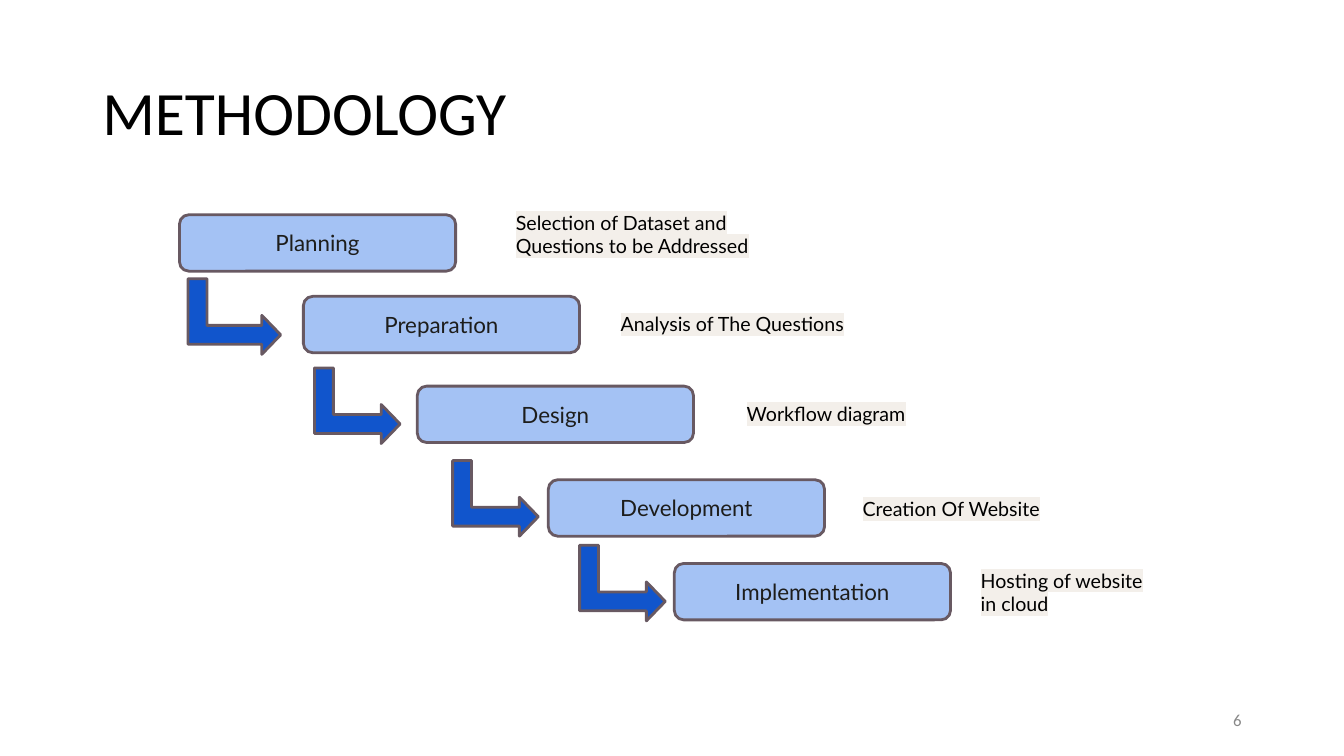
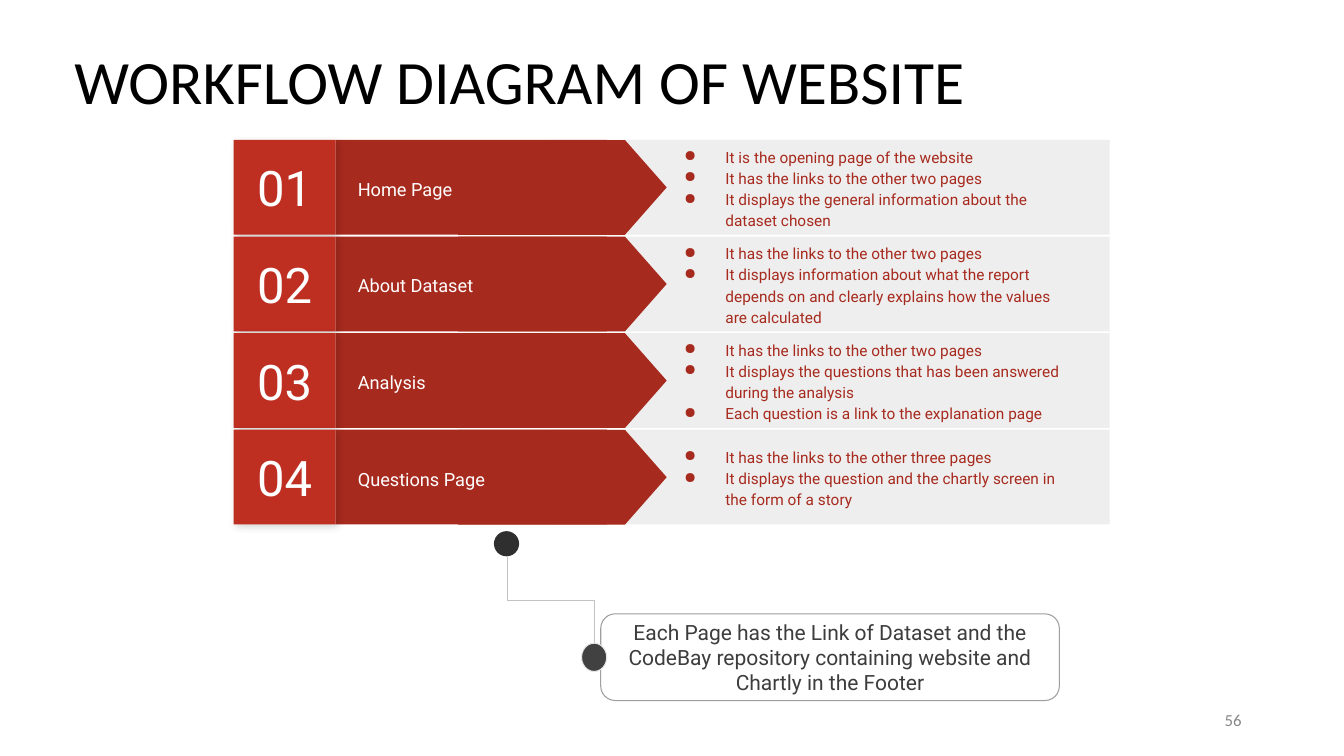
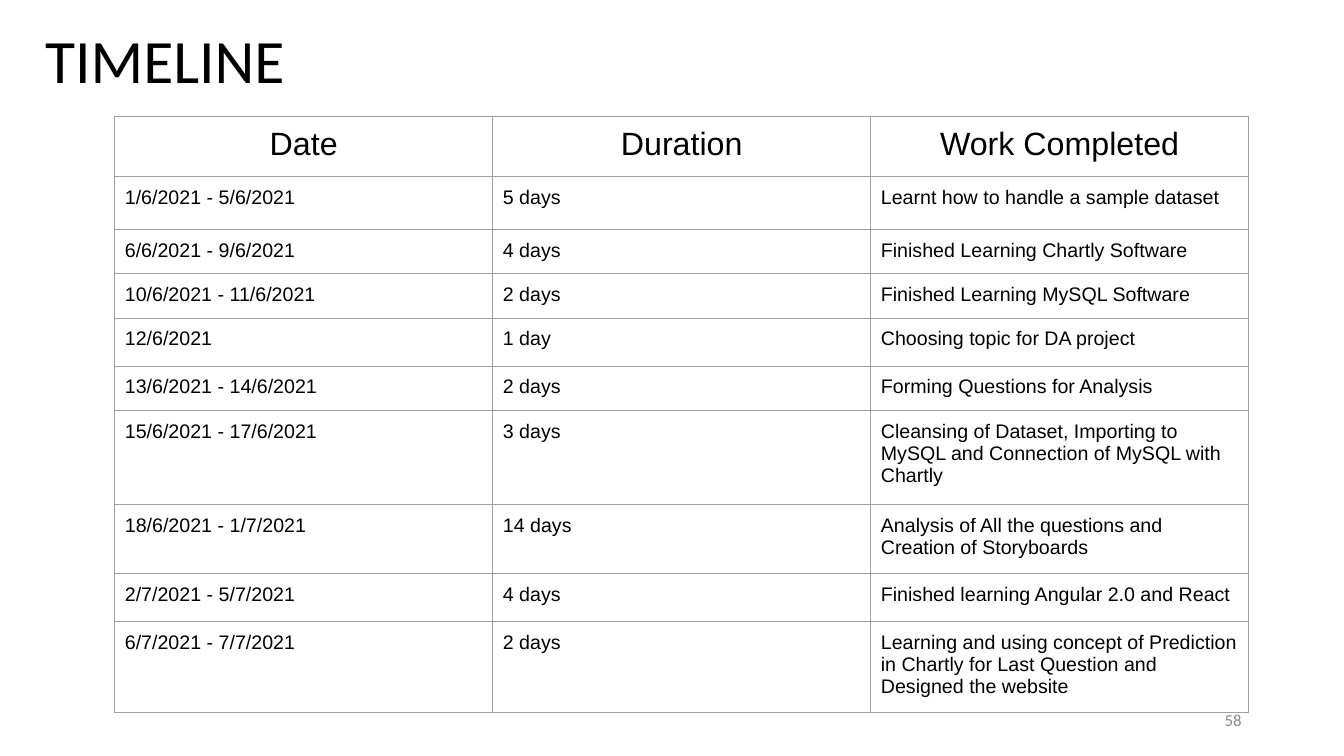
from lxml import etree
from pptx import Presentation
from pptx.dml.color import RGBColor
from pptx.enum.shapes import MSO_CONNECTOR, MSO_SHAPE
from pptx.enum.text import MSO_ANCHOR, PP_ALIGN
from pptx.oxml.ns import qn
from pptx.util import Pt

RECT = MSO_SHAPE.RECTANGLE
ROUND = MSO_SHAPE.ROUNDED_RECTANGLE
OVAL = MSO_SHAPE.OVAL
BENT = MSO_SHAPE.BENT_UP_ARROW
POINT = MSO_SHAPE.FLOWCHART_OFFPAGE_CONNECTOR
ELBOW = MSO_CONNECTOR.ELBOW
TOP, MIDDLE = MSO_ANCHOR.TOP, MSO_ANCHOR.MIDDLE
LEFT, CENTER, RIGHT = PP_ALIGN.LEFT, PP_ALIGN.CENTER, PP_ALIGN.RIGHT

BLACK, WHITE, GRAY, PALE = "000000", "FFFFFF", "9E9E9E", "EEEEEE"
RED, BRIGHT = "A72A1E", "BE2F22"
SKY, BLUE, EDGE, CREAM = "A4C2F4", "1155CC", "685962", "F3EFEA"


def color(code):
    return RGBColor.from_string(code)


def add(node, tag, **attrs):
    return etree.SubElement(node, qn(tag), attrs)


class Deck:
    def __init__(self):
        self.file = Presentation()
        self.file.slide_width, self.file.slide_height = Pt(960), Pt(540)

    def page(self, title, box, number):
        self.slide = self.file.slides.add_slide(self.file.slide_layouts[6])
        self.text(box, [title], 44, "Calibri", BLACK, anchor=MIDDLE, space=0.9)
        self.text((678, 500, 216, 28.8), [number], 12, "Calibri", "888888",
                  anchor=MIDDLE, align=RIGHT)

    def label(self, frame, lines, size, font, ink, align=LEFT, anchor=TOP,
              pad=(7.2, 3.6), space=None, mark=None, bullet=False):
        frame.word_wrap = True
        frame.vertical_anchor = anchor
        frame.margin_left = frame.margin_right = Pt(pad[0])
        frame.margin_top = frame.margin_bottom = Pt(pad[1])
        for i, line in enumerate(lines):
            para = frame.add_paragraph() if i else frame.paragraphs[0]
            if bullet:
                props = para._p.get_or_add_pPr()
                props.set("marL", str(Pt(48)))
                props.set("indent", str(-Pt(29.5)))
                add(add(props, "a:buClr"), "a:srgbClr", val=ink)
                add(props, "a:buChar", char="●")
            para.alignment = align
            if space:
                para.line_spacing = space
            run = para.add_run()
            run.text = line
            run.font.size, run.font.name = Pt(size), font
            run.font.color.rgb = color(ink)
            if mark:
                props = run._r.get_or_add_rPr()
                light = add(props, "a:highlight")
                add(light, "a:srgbClr", val=mark)
                props.find(qn("a:solidFill")).addnext(light)

    def text(self, box, lines, size, font, ink, **style):
        item = self.slide.shapes.add_textbox(*map(Pt, box))
        self.label(item.text_frame, lines, size, font, ink, **style)

    def shape(self, kind, box, fill=None, line=None, width=0.75, turn=0, adjust=()):
        item = self.slide.shapes.add_shape(kind, *map(Pt, box))
        item.shadow.inherit = False
        item.rotation = turn
        for i, value in enumerate(adjust):
            item.adjustments[i] = value
        if fill:
            item.fill.solid()
            item.fill.fore_color.rgb = color(fill)
        else:
            item.fill.background()
        if line:
            item.line.color.rgb = color(line)
            item.line.width = Pt(width)
        else:
            item.line.fill.background()
        return item

    def shade(self, item):
        effects = item._element.spPr.find(qn("a:effectLst"))
        cast = add(effects, "a:outerShdw", blurRad=str(Pt(5.6)), dist=str(Pt(2.2)),
                   dir="2700000", algn="bl", rotWithShape="0")
        add(add(cast, "a:srgbClr", val=BLACK), "a:alpha", val="17000")

    def elbow(self, start, end, ink):
        item = self.slide.shapes.add_connector(
            ELBOW, Pt(end[0]), Pt(start[1]), Pt(start[0]), Pt(end[1]))
        item.line.color.rgb = color(ink)
        item.line.width = Pt(0.75)
        props = item._element.spPr
        props.find(qn("a:xfrm")).set("rot", "16200000")
        add(props, "a:effectLst")

    def table(self, box, rows, heights):
        grid = self.slide.shapes.add_table(len(rows), len(rows[0]), *map(Pt, box)).table
        grid.first_row = grid.horz_banding = False
        for r, row in enumerate(rows):
            grid.rows[r].height = Pt(heights[r])
            for c, words in enumerate(row):
                cell = grid.cell(r, c)
                self.label(cell.text_frame, [words], 14 if r else 23, "Arial", BLACK,
                           align=LEFT if r else CENTER)
                cell.margin_left = cell.margin_right = Pt(7.2)
                cell.margin_top = cell.margin_bottom = Pt(7.2)
                props = cell._tc.get_or_add_tcPr()
                for side in "LRTB":
                    edge = add(props, "a:ln" + side, w=str(Pt(0.75)))
                    add(add(edge, "a:solidFill"), "a:srgbClr", val=GRAY)
                cell.fill.background()


def method(deck):
    deck.page("METHODOLOGY", (66, 30, 828, 104.4), "6")
    steps = [
        ("Planning", 128.2, 153.4, "Selection of Dataset and Questions to be Addressed",
         361.4, 146.9, 214.6),
        ("Preparation", 216.7, 211.7, "Analysis of The Questions", 436.3, 219.6, 214.6),
        ("Design", 298.1, 275.8, "Workflow diagram", 526.3, 283.7, 214.6),
        ("Development", 391.7, 342.7, "Creation Of Website", 609.1, 351.4, 214.6),
        ("Implementation", 481.7, 402.5, "Hosting of website in cloud", 693.4, 402.5, 139),
    ]
    for name, x, y, note, left, top, width in steps:
        card = deck.shape(ROUND, (x, y, 197.3, 40.3), SKY, EDGE, 2, adjust=[0.167])
        deck.label(card.text_frame, [name], 16, "Lato", "1D1D1B",
                   align=CENTER, anchor=MIDDLE)
        deck.text((left, top, width, 41 if len(note) > 25 else 24.5), [note], 14,
                  "Lato", BLACK, mark=CREAM)
    for x, y, tall in [(140.4, 193, 66.2), (228.2, 259.2, 61.2),
                       (326.9, 325.4, 61.2), (417.6, 385.9, 61.2)]:
        deck.shape(BENT, (x, y, 54, tall), BLUE, EDGE, 2, 90, [0.25, 0.258, 0.25])


def workflow(deck):
    deck.page("WORKFLOW DIAGRAM OF WEBSITE", (46, 8, 828, 104.4), "56")
    links = "It has the links to the other two pages"
    pages = [
        ("Home Page", ["It is the opening page of the website", links,
                       "It displays the general information about the dataset chosen"]),
        ("About Dataset", [links, "It displays information about what the report depends "
                           "on and clearly explains how the values are calculated"]),
        ("Analysis", [links, "It displays the questions that has been answered during "
                      "the analysis", "Each question is a link to the explanation page"]),
        ("Questions Page", ["It has the links to the other three pages",
                            "It displays the question and the chartly screen in the "
                            "form of a story"]),
    ]
    pad, high, long = (9.4, 9.4), 67.7, 149
    for i, (name, facts) in enumerate(pages):
        y = 100 + 69 * i
        deck.shape(RECT, (391.7, y, 401, high), PALE)
        deck.shape(RECT, (239.8, y, 193.7, high), RED)
        deck.shape(POINT, (367.9, y + (high - long) / 2, high, long), RED, turn=270)
        deck.text((246.2, y + 8, 203.8, 51.8), [name], 13, "Roboto", WHITE,
                  anchor=MIDDLE, pad=pad, space=1.15)
        tile = deck.shape(RECT, (167, y, 72.8, high), BRIGHT)
        deck.shade(tile)
        deck.label(tile.text_frame, [f"{i + 1:02}"], 35, "Roboto", WHITE,
                   align=CENTER, anchor=MIDDLE, pad=pad)
        deck.text((460.8, y, 311.8, high), facts, 11, "Roboto", RED,
                  anchor=MIDDLE, pad=pad, space=1.15, bullet=True)
    deck.elbow((362.5, 397.8), (424.8, 459.7), "C2C2C2")
    deck.shape(OVAL, (352.8, 379.4, 18, 18), "2F2F2F")
    foot = deck.shape(ROUND, (429.1, 438.5, 327.6, 61.9), line=GRAY, adjust=[0.167])
    deck.label(foot.text_frame, ["Each Page has the Link of Dataset and the CodeBay "
                                 "repository containing website and Chartly in the Footer"],
               15, "Roboto", "3D3D3D", align=CENTER, anchor=MIDDLE, pad=pad)
    deck.shape(OVAL, (415.4, 459.4, 18, 20.2), "414141", "E7E6E6")


def timeline(deck):
    deck.page("TIMELINE", (25.2, 8.6, 875.5, 74.2), "58")
    rows = [
        ("Date", "Duration", "Work Completed"),
        ("1/6/2021 - 5/6/2021", "5 days", "Learnt how to handle a sample dataset"),
        ("6/6/2021 - 9/6/2021", "4 days", "Finished Learning Chartly Software"),
        ("10/6/2021 - 11/6/2021", "2 days", "Finished Learning MySQL Software"),
        ("12/6/2021", "1 day", "Choosing topic for DA project"),
        ("13/6/2021 - 14/6/2021", "2 days", "Forming Questions for Analysis"),
        ("15/6/2021 - 17/6/2021", "3 days", "Cleansing of Dataset, Importing to MySQL "
         "and Connection of MySQL with Chartly"),
        ("18/6/2021 - 1/7/2021", "14 days",
         "Analysis of All the questions and Creation of Storyboards"),
        ("2/7/2021 - 5/7/2021", "4 days", "Finished learning Angular 2.0 and React"),
        ("6/7/2021 - 7/7/2021", "2 days", "Learning and using concept of Prediction in "
         "Chartly for Last Question and Designed the website"),
    ]
    heights = [43.2, 37.5, 32, 31.5, 34.3, 32, 67, 49.5, 34.3, 61.4]
    deck.table((82, 83, 810, sum(heights)), rows, heights)


def main():
    deck = Deck()
    for build in (method, workflow, timeline):
        build(deck)
    deck.file.save("out.pptx")


if __name__ == "__main__":
    main()
